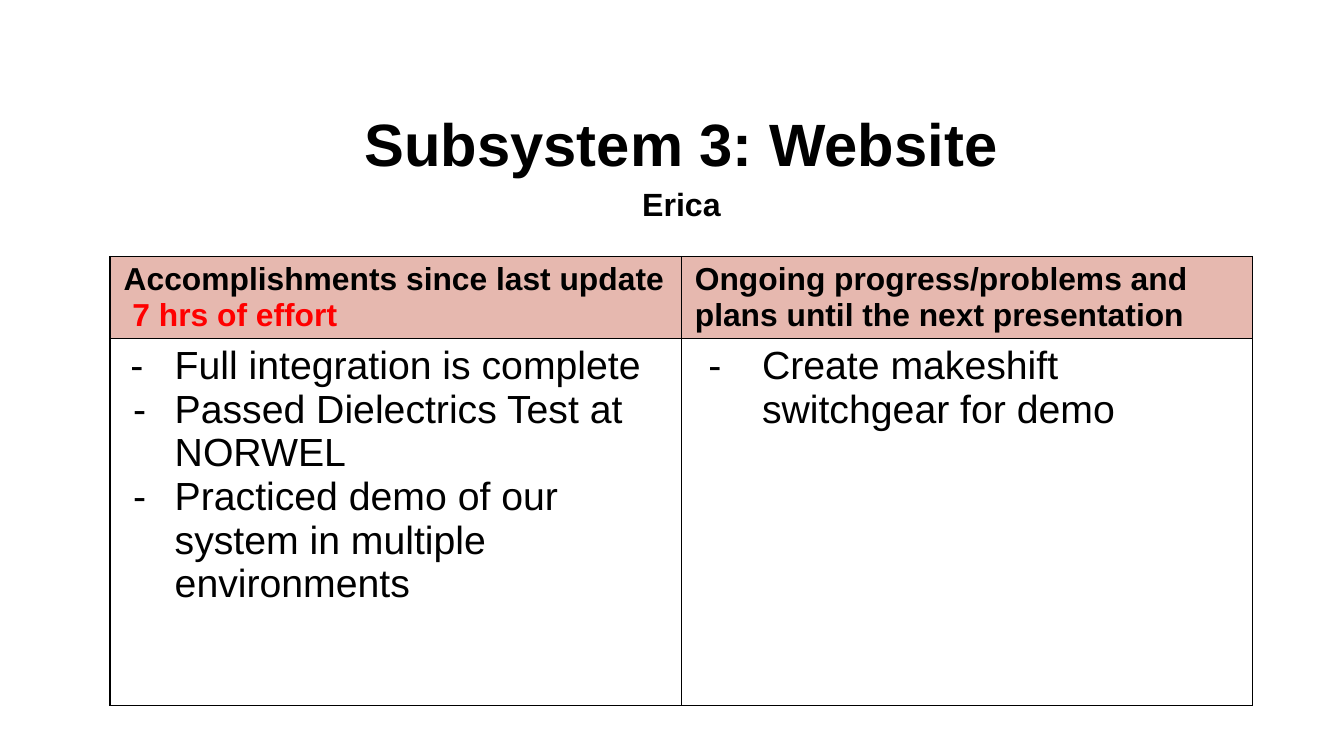
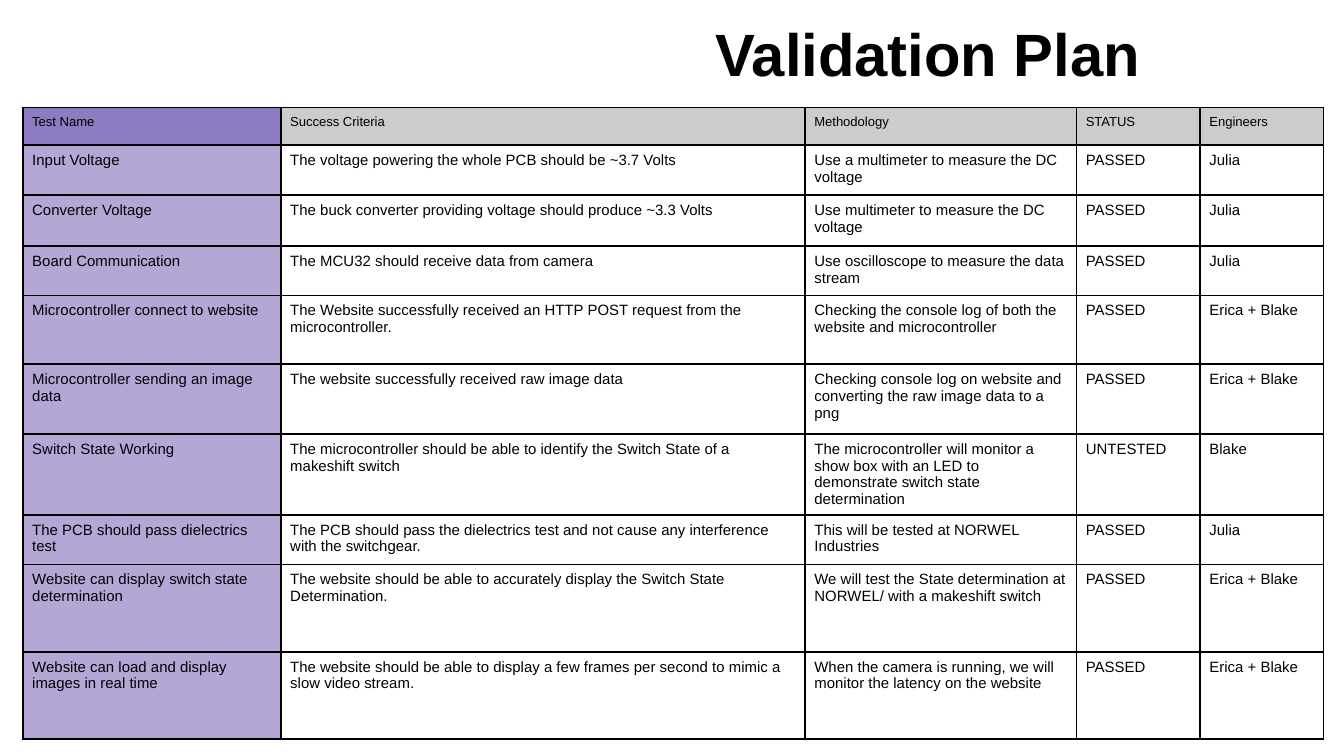
from dataclasses import dataclass

from lxml.etree import SubElement
from pptx import Presentation
from pptx.dml.color import RGBColor
from pptx.enum.text import MSO_ANCHOR as Anchor, MSO_AUTO_SIZE as AutoSize, PP_ALIGN as Align
from pptx.oxml.ns import qn
from pptx.util import Inches, Pt


@dataclass(frozen=True)
class Theme:
    font: str = "Arial"
    black: str = "000000"
    white: str = "FFFFFF"
    red: str = "FF0000"
    rose: str = "E6B8AF"
    gray: str = "CCCCCC"
    purple: str = "8E7CC3"
    lilac: str = "B4A7D6"
    title_size: float = 32
    presenter_size: float = 17.2
    update_head_size: float = 17
    update_size: float = 21
    plan_head_size: float = 7
    plan_size: float = 8


theme = Theme()


def write(frame, text, size, bold=False, color=theme.black, align=Align.LEFT,
          spacing=None, left=0, hang=0, bullet=None, same_line=False):
    """Add a paragraph to the frame, or continue its last one on the same line."""
    if frame.text and not same_line:
        paragraph = frame.add_paragraph()
    else:
        paragraph = frame.paragraphs[-1]
    paragraph.alignment = align
    if spacing:
        paragraph.line_spacing = spacing
    run = paragraph.add_run()
    run.text = text
    run.font.name = theme.font
    run.font.size = Pt(size)
    run.font.bold = bold
    run.font.color.rgb = RGBColor.from_string(color)
    if bullet:
        properties = paragraph._p.get_or_add_pPr()
        properties.set("marL", str(Inches(left)))
        properties.set("indent", str(Inches(-hang)))
        bullet_color = SubElement(properties, qn("a:buClr"))
        SubElement(bullet_color, qn("a:srgbClr"), val=color)
        SubElement(properties, qn("a:buFont"), typeface=theme.font)
        SubElement(properties, qn("a:buChar"), char=bullet)


def add_grid(slide, left, top, widths, heights, inset_x, inset_y):
    """Add a white table with thin black borders."""
    grid = slide.shapes.add_table(
        len(heights), len(widths), Inches(left), Inches(top),
        Inches(sum(widths)), Inches(sum(heights))).table
    grid.first_row = grid.horz_banding = False
    for column, width in zip(grid.columns, widths):
        column.width = Inches(width)
    for row, height in zip(grid.rows, heights):
        row.height = Inches(height)
    for cell in grid.iter_cells():
        cell.margin_left = cell.margin_right = Inches(inset_x)
        cell.margin_top = cell.margin_bottom = Inches(inset_y)
        for side in ("lnL", "lnR", "lnT", "lnB"):
            border = SubElement(cell._tc.get_or_add_tcPr(), qn(f"a:{side}"), w=str(Pt(1)))
            border_fill = SubElement(border, qn("a:solidFill"))
            SubElement(border_fill, qn("a:srgbClr"), val=theme.black)
        cell.fill.solid()
        cell.fill.fore_color.rgb = RGBColor.from_string(theme.white)
    return grid


# Widescreen deck, 16:9
deck = Presentation()
deck.slide_width = Inches(10)
deck.slide_height = deck.slide_width * 9 // 16
title_only = deck.slide_layouts[5]

# Slides and their titles
slides = []
for heading, presenter, left, top, width, spacing in [
    ("Subsystem 3: Website", "Erica", 0.57, 0.86, 9, 1.15),
    ("Validation Plan", None, 4.18, 0.06, 5.45, 1),
]:
    slide = deck.slides.add_slide(title_only)
    slides.append(slide)
    title = slide.shapes.title
    title.left, title.top = Inches(left), Inches(top)
    title.width, title.height = Inches(width), Inches(0.66)
    title.text_frame.auto_size = AutoSize.NONE
    title.text_frame.vertical_anchor = Anchor.MIDDLE
    write(title.text_frame, heading, theme.title_size, bold=True,
          align=Align.CENTER, spacing=spacing)
    if presenter:
        write(title.text_frame, presenter, theme.presenter_size, bold=True,
              align=Align.CENTER, spacing=spacing)
website_slide, validation_slide = slides

# Website: accomplishments and plans
updates = add_grid(website_slide, 0.82, 1.91, [4.25, 4.25], [0.56, 2.73], 0.1, 0.04)
update_heads = ["Accomplishments since last update ",
                "Ongoing progress/problems and plans until the next presentation"]
for column, head in enumerate(update_heads):
    cell = updates.cell(0, column)
    cell.fill.fore_color.rgb = RGBColor.from_string(theme.rose)
    write(cell.text_frame, head, theme.update_head_size, bold=True)
write(updates.cell(0, 0).text_frame, " 7 hrs of effort", theme.update_head_size,
      bold=True, color=theme.red, same_line=True)

for column, item, left, hang in [
    (0, "Full integration is complete", 0.38, 0.33),
    (0, "Passed Dielectrics Test at NORWEL", 0.38, 0.31),
    (0, "Practiced demo of our system in multiple environments", 0.38, 0.31),
    (1, "Create makeshift switchgear for demo", 0.5, 0.4),
]:
    write(updates.cell(1, column).text_frame, item, theme.update_size,
          left=left, hang=hang, bullet="-")

# Validation plan: one row per test
plan_rows = [
    ("Test Name", "Success Criteria", "Methodology", "STATUS", "Engineers"),
    ("Input Voltage", "The voltage powering the whole PCB should be ~3.7 Volts",
     "Use a multimeter to measure the DC voltage", "PASSED", "Julia"),
    ("Converter Voltage", "The buck converter providing voltage should produce ~3.3 Volts",
     "Use multimeter to measure the DC voltage", "PASSED", "Julia"),
    ("Board Communication", "The MCU32 should receive data from camera",
     "Use oscilloscope to measure the data stream", "PASSED", "Julia"),
    ("Microcontroller connect to website",
     "The Website successfully received an HTTP POST request from the microcontroller.",
     "Checking the console log of both the website and microcontroller",
     "PASSED", "Erica + Blake"),
    ("Microcontroller sending an image data",
     "The website successfully received raw image data",
     "Checking console log on website and converting the raw image data to a png",
     "PASSED", "Erica + Blake"),
    ("Switch State Working",
     "The microcontroller should be able to identify the Switch State of a makeshift switch",
     "The microcontroller will monitor a show box with an LED to demonstrate "
     "switch state determination", "UNTESTED", "Blake"),
    ("The PCB should pass dielectrics test",
     "The PCB should pass the dielectrics test and not cause any interference "
     "with the switchgear.",
     "This will be tested at NORWEL Industries", "PASSED", "Julia"),
    ("Website can display switch state determination",
     "The website should be able to accurately display the Switch State Determination.",
     "We will test the State determination at NORWEL/ with a makeshift switch",
     "PASSED", "Erica + Blake"),
    ("Website can load and display images in real time",
     "The website should be able to display a few frames per second to mimic "
     "a slow video stream.",
     "When the camera is running, we will monitor the latency on the website",
     "PASSED", "Erica + Blake"),
]
plan = add_grid(validation_slide, 0.17, 0.8, [1.92, 3.9, 2.02, 0.92, 0.92],
                [0.28, 0.37, 0.38, 0.37, 0.51, 0.52, 0.49, 0.37, 0.65, 0.65], 0.07, 0.05)
for row, entries in enumerate(plan_rows):
    if row == 0:
        size, name_fill, other_fill = theme.plan_head_size, theme.purple, theme.gray
    else:
        size, name_fill, other_fill = theme.plan_size, theme.lilac, theme.white
    for column, entry in enumerate(entries):
        cell = plan.cell(row, column)
        cell.fill.fore_color.rgb = RGBColor.from_string(other_fill if column else name_fill)
        write(cell.text_frame, entry, size)

deck.save("out.pptx")
